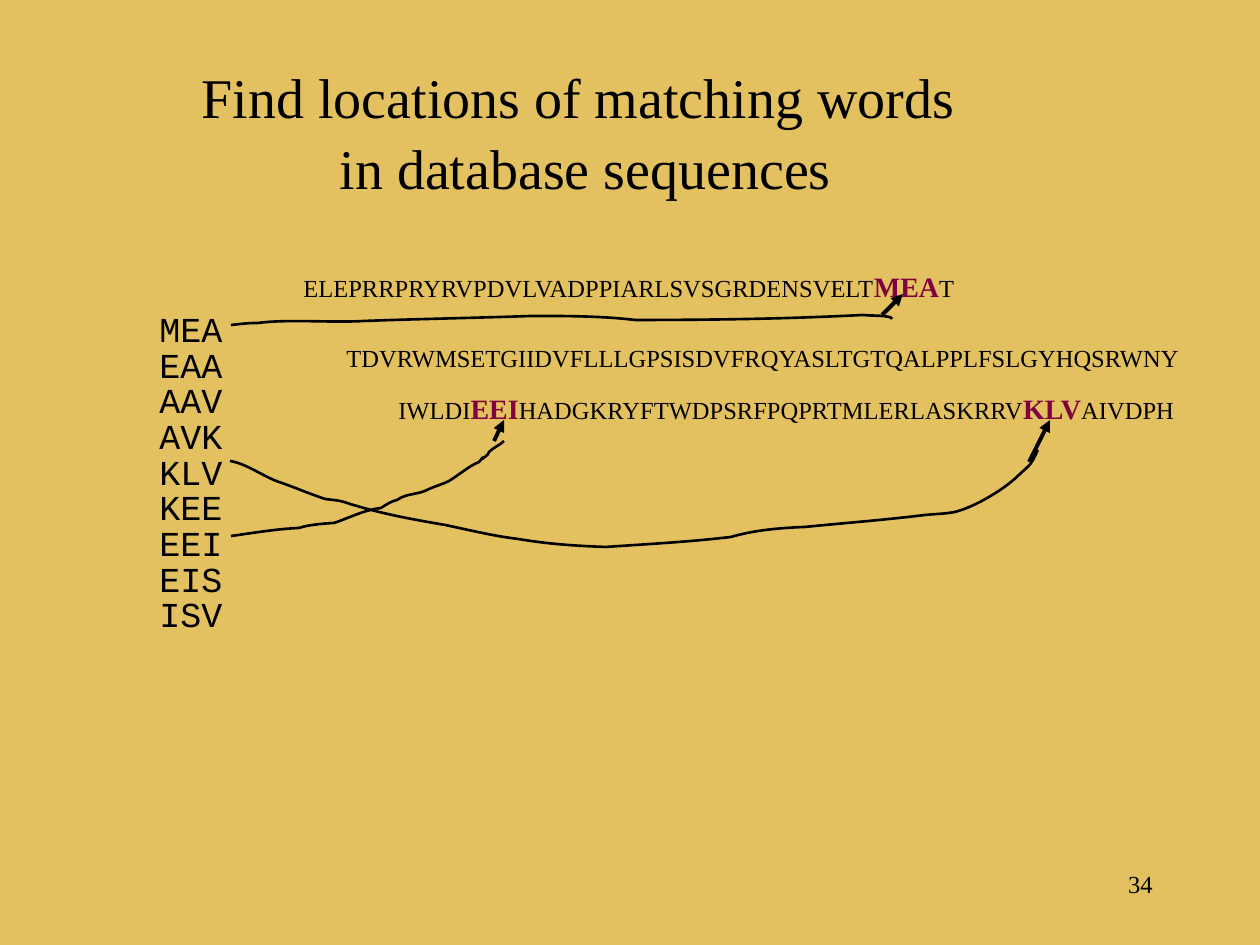
from lxml import etree
from pptx import Presentation
from pptx.dml.color import RGBColor
from pptx.enum.shapes import MSO_CONNECTOR
from pptx.enum.text import MSO_ANCHOR, MSO_AUTO_SIZE, PP_ALIGN
from pptx.oxml.ns import qn
from pptx.util import Pt

SCALE = 914400 / 126  # EMU per px
COLORS = {"background": "E3C160", "ink": "000000", "match": "800040"}
SERIF, MONO = "Times New Roman", "Courier New"
STRAIGHT = MSO_CONNECTOR.STRAIGHT
LEFT, CENTER, RIGHT = PP_ALIGN.LEFT, PP_ALIGN.CENTER, PP_ALIGN.RIGHT
TOP, GROW = MSO_ANCHOR.TOP, MSO_AUTO_SIZE.SHAPE_TO_FIT_TEXT

WORDS = ["MEA", "EAA", "AAV", "AVK", "KLV", "KEE", "EEI", "EIS", "ISV"]

# Box and text pieces; every second piece is a matching word.
SEQUENCES = [
    ((291, 262, 687, 47), ["ELEPRRPRYRVPDVLVADPPIARLSVSGRDENSVELT", "MEA", "T"]),
    ((334, 335, 866, 43), ["TDVRWMSETGIIDVFLLLGPSISDVFRQYASLTGTQALPPLFSLGYHQSRWNY"]),
    ((386, 384, 808, 47), ["IWLDI", "EEI", "HADGKRYFTWDPSRFPQPRTMLERLASKRRV",
                           "KLV", "AIVDPH"]),
]

# Start point, then three Bezier points for each segment.
CURVES = {
    "MEA": [(231, 325),
            (241, 324), (248, 323), (258, 323), (289, 319), (331, 323), (364, 321),
            (420, 319), (475, 318), (532, 316), (566, 316), (601, 316), (635, 320),
            (712, 320), (786, 319), (863, 315), (869, 316), (892, 315), (892, 319)],
    "KLV": [(230, 461),
            (248, 464), (265, 478), (282, 483), (296, 488), (310, 494), (325, 499),
            (331, 500), (338, 500), (344, 502), (377, 513), (410, 519), (445, 525),
            (469, 530), (493, 536), (518, 539), (547, 544), (576, 546), (606, 547),
            (649, 544), (689, 542), (731, 537), (755, 530), (780, 528), (805, 527),
            (845, 523), (885, 520), (925, 515), (935, 514), (945, 514), (955, 512),
            (975, 507), (1005, 489), (1019, 475), (1024, 470), (1031, 465), (1033, 460),
            (1034, 457), (1036, 455), (1037, 452), (1037, 451), (1038, 450), (1038, 450)],
    "EEI": [(231, 536),
            (253, 533), (276, 529), (299, 528), (310, 524), (334, 523), (334, 523),
            (349, 518), (364, 510), (381, 508), (387, 504), (392, 501), (397, 500),
            (407, 493), (417, 495), (427, 490), (435, 486), (441, 485), (449, 481),
            (459, 475), (469, 466), (479, 462), (489, 450), (476, 465), (486, 456),
            (488, 455), (488, 454), (489, 452), (494, 447), (499, 446), (504, 441)],
}
ARROWS = [(882, 315, 903, 294), (494, 441, 504, 420), (1029, 462, 1050, 420)]


def px(*lengths):
    return [round(length * SCALE) for length in lengths]


def rgb(name):
    return RGBColor.from_string(COLORS[name])


def apply(target, **values):
    for name, value in values.items():
        setattr(target, name, value)


def add_run(paragraph, text, size, color="ink", font=SERIF, bold=False):
    run = paragraph.add_run()
    run.text = text
    apply(run.font, name=font, size=Pt(size), bold=bold)
    run.font.color.rgb = rgb(color)


def add_text_box(slide, box, wrap=False, align=LEFT):
    """Return the text frame and its first paragraph."""
    frame = slide.shapes.add_textbox(*px(*box)).text_frame
    apply(frame, word_wrap=wrap, auto_size=GROW)
    apply(frame.paragraphs[0], alignment=align, line_spacing=1.05)
    return frame, frame.paragraphs[0]


def set_title(slide, lines):
    title = slide.shapes.title
    left, top, width, height = px(189, 53, 793, 147)
    apply(title, left=left, top=top, width=width, height=height)
    frame = title.text_frame
    apply(frame, word_wrap=False, auto_size=GROW, vertical_anchor=TOP)
    paragraph = frame.paragraphs[0]
    apply(paragraph, alignment=CENTER, line_spacing=1.05)
    for index, line in enumerate(lines):
        if index:
            paragraph.add_line_break()
        add_run(paragraph, line, 32)


def add_sequence(slide, box, pieces):
    _, paragraph = add_text_box(slide, box)
    for index, piece in enumerate(pieces):
        if index % 2:
            add_run(paragraph, piece, 16, "match", bold=True)
        else:
            add_run(paragraph, piece, 14)


def add_word_list(slide, box, words):
    frame, paragraph = add_text_box(slide, box, wrap=True)
    for index, word in enumerate(words):
        if index:
            paragraph = frame.add_paragraph()
            paragraph.space_before = Pt(5)
        paragraph.line_spacing = 0.64
        paragraph._p.get_or_add_pPr().set("marL", str(px(63)[0]))
        add_run(paragraph, word, 20, font=MONO)


def add_curve(slide, points):
    """Build a polyline, then turn each three points into one Bezier segment."""
    builder = slide.shapes.build_freeform(*points[0], scale=SCALE)
    builder.add_line_segments(points[1:], close=False)
    shape = builder.convert_to_shape()
    segments = list(shape._element.iter(qn("a:lnTo")))
    outline = segments[0].getparent()
    for start in range(0, len(segments), 3):
        curve = etree.SubElement(outline, qn("a:cubicBezTo"))
        for segment in segments[start:start + 3]:
            curve.append(segment[0])
            outline.remove(segment)
    shape.shadow.inherit = False
    shape.fill.background()
    shape.line.color.rgb = rgb("ink")
    shape.line.width = Pt(1.5)


def add_arrow(slide, ends):
    arrow = slide.shapes.add_connector(STRAIGHT, *px(*ends))
    arrow.line.color.rgb = rgb("ink")
    arrow.line.width = Pt(2.25)
    etree.SubElement(arrow.line._get_or_add_ln(), qn("a:tailEnd"), type="triangle")
    etree.SubElement(arrow._element.spPr, qn("a:effectLst"))


def main():
    presentation = Presentation()
    width, height = px(1260, 945)
    apply(presentation, slide_width=width, slide_height=height)
    slide = presentation.slides.add_slide(presentation.slide_layouts[5])
    slide.background.fill.solid()
    slide.background.fill.fore_color.rgb = rgb("background")

    set_title(slide, ["Find locations of matching words ", "in database sequences"])
    for box, pieces in SEQUENCES:
        add_sequence(slide, box, pieces)
    add_word_list(slide, (84, 315, 199, 310), WORDS)
    for points in CURVES.values():
        add_curve(slide, points)
    for ends in ARROWS:
        add_arrow(slide, ends)
    _, page_number = add_text_box(slide, (903, 861, 262, 63), wrap=True, align=RIGHT)
    add_run(page_number, "34", 14)

    presentation.save("out.pptx")


if __name__ == "__main__":
    main()
